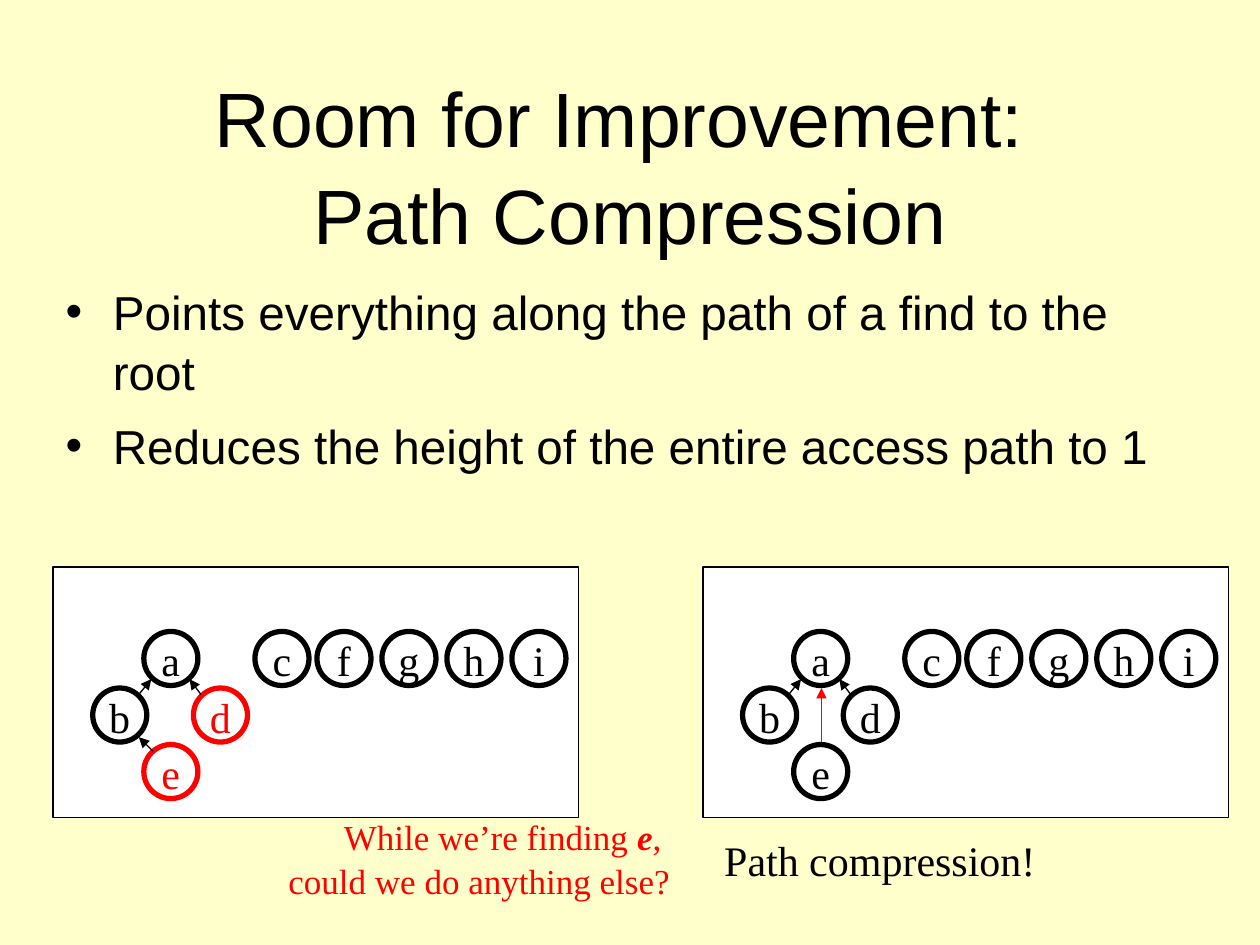
from lxml import etree
from pptx import Presentation
from pptx import util as u
from pptx.dml.color import RGBColor
from pptx.enum import shapes, text
from pptx.oxml import ns

BLACK, RED, WHITE, CREAM = "000000", "FF0000", "FFFFFF", "FFFFCC"
SANS, SERIF = "Arial", "Times New Roman"

TITLE = "Room for Improvement: \vPath Compression"
BULLETS = [
    "Points everything along the path of a find to the root",
    "Reduces the height of the entire access path to 1",
]
QUESTION = [
    [("While we’re finding ", False), ("e", True), (", ", False)],
    [("could we do anything else?", False)],
]
ANSWER = "Path compression!"

PANEL_TOP, PANEL_W, PANEL_H = 11.43, 10.59, 5.05
NODE, ROW_TOP, ROW_STEP = 1.09, 1.3, 1.14
NODES = [("a", 1.83, 0), ("b", 0.8, 1), ("d", 2.83, 1), ("e", 1.83, 2), ("c", 4.07, 0)]
NODES += [(name, 5.32 + 1.31 * i, 0) for i, name in enumerate("fghi")]
B_TO_A = (1.73, 2.57, 1.98, 2.26, BLACK)
D_TO_A = (2.98, 2.57, 2.75, 2.26, BLACK)
E_TO_B = (2.01, 3.71, 1.73, 3.43, BLACK)
E_TO_A = (2.39, 3.53, 2.39, 2.44, RED)
PANELS = [
    {"left": 1.07, "red": "de", "arrows": [B_TO_A, D_TO_A, E_TO_B]},
    {"left": 14.17, "red": "", "arrows": [B_TO_A, D_TO_A, E_TO_A]},
]


def cm(*values):
    return [u.Cm(v) for v in values]


def color(target, value):
    target.rgb = RGBColor.from_string(value)


def child(parent, tag, **attrs):
    return etree.SubElement(parent, ns.qn(tag), attrs)


def write(tf, paragraphs, size, font=SERIF, fill=BLACK, align=text.PP_ALIGN.LEFT,
          anchor=text.MSO_ANCHOR.TOP, wrap=False, bullet=False, gap=0):
    tf.word_wrap = wrap
    tf.auto_size = text.MSO_AUTO_SIZE.NONE
    tf.vertical_anchor = anchor
    for i, runs in enumerate(paragraphs):
        p = tf.add_paragraph() if i else tf.paragraphs[0]
        p.alignment = align
        p.line_spacing = 1.05
        p.space_before = u.Pt(gap if i else 0)
        if bullet:
            pPr = p._p.get_or_add_pPr()
            pPr.set("marL", str(u.Cm(0.95)))
            pPr.set("indent", str(-u.Cm(0.95)))
            child(pPr, "a:buChar", char="•")
        for content, strong in ([(runs, False)] if isinstance(runs, str) else runs):
            for j, line in enumerate(content.split("\v")):
                if j:
                    p.add_line_break()
                r = p.add_run()
                r.text = line
                r.font.size, r.font.name = u.Pt(size), font
                r.font.bold = r.font.italic = strong
                color(r.font.color, fill)


def add_outlined(slide, kind, box, line, width, fill=None):
    sp = slide.shapes.add_shape(kind, *cm(*box))
    sp.shadow.inherit = False
    if fill:
        sp.fill.solid()
        color(sp.fill.fore_color, fill)
    else:
        sp.fill.background()
    color(sp.line.color, line)
    sp.line.width = u.Pt(width)
    return sp


def add_arrow(slide, x1, y1, x2, y2, line):
    c = slide.shapes.add_connector(shapes.MSO_CONNECTOR.STRAIGHT, *cm(x1, y1, x2, y2))
    color(c.line.color, line)
    c.line.width = u.Pt(0.75)
    child(c.line._get_or_add_ln(), "a:tailEnd", type="triangle")
    child(c._element.spPr, "a:effectLst")


def add_panel(slide, left, red, arrows):
    add_outlined(slide, shapes.MSO_SHAPE.RECTANGLE,
                 (left, PANEL_TOP, PANEL_W, PANEL_H), BLACK, 0.75, WHITE)
    for name, x, row in NODES:
        ink = RED if name in red else BLACK
        box = (left + x, PANEL_TOP + ROW_TOP + ROW_STEP * row, NODE, NODE)
        sp = add_outlined(slide, shapes.MSO_SHAPE.OVAL, box, ink, 3)
        write(sp.text_frame, [name], 24, fill=ink, align=text.PP_ALIGN.CENTER,
              anchor=text.MSO_ANCHOR.MIDDLE)
    for x1, y1, x2, y2, ink in arrows:
        add_arrow(slide, left + x1, PANEL_TOP + y1, left + x2, PANEL_TOP + y2, ink)


def place(sp, *box):
    sp.left, sp.top, sp.width, sp.height = cm(*box)
    return sp.text_frame


def main():
    prs = Presentation()
    prs.slide_width, prs.slide_height = cm(25.4, 19.05)
    slide = prs.slides.add_slide(prs.slide_layouts[1])
    slide.background.fill.solid()
    color(slide.background.fill.fore_color, CREAM)

    write(place(slide.shapes.title, 1.91, 1.7, 21.59, 3.18), [TITLE], 44, font=SANS,
          align=text.PP_ALIGN.CENTER, anchor=text.MSO_ANCHOR.MIDDLE, wrap=True)
    write(place(slide.placeholders[1], 1.07, 5.51, 23.29, 4.88), BULLETS, 27.2,
          font=SANS, wrap=True, bullet=True, gap=8)
    for panel in PANELS:
        add_panel(slide, **panel)
    question = slide.shapes.add_textbox(*cm(5.56, 16.28, 8.2, 1.96))
    write(question.text_frame, QUESTION, 20, fill=RED, align=text.PP_ALIGN.RIGHT)
    answer = slide.shapes.add_textbox(*cm(14.35, 16.64, 6.78, 1.27))
    write(answer.text_frame, [ANSWER], 24)
    prs.save("out.pptx")


if __name__ == "__main__":
    main()
